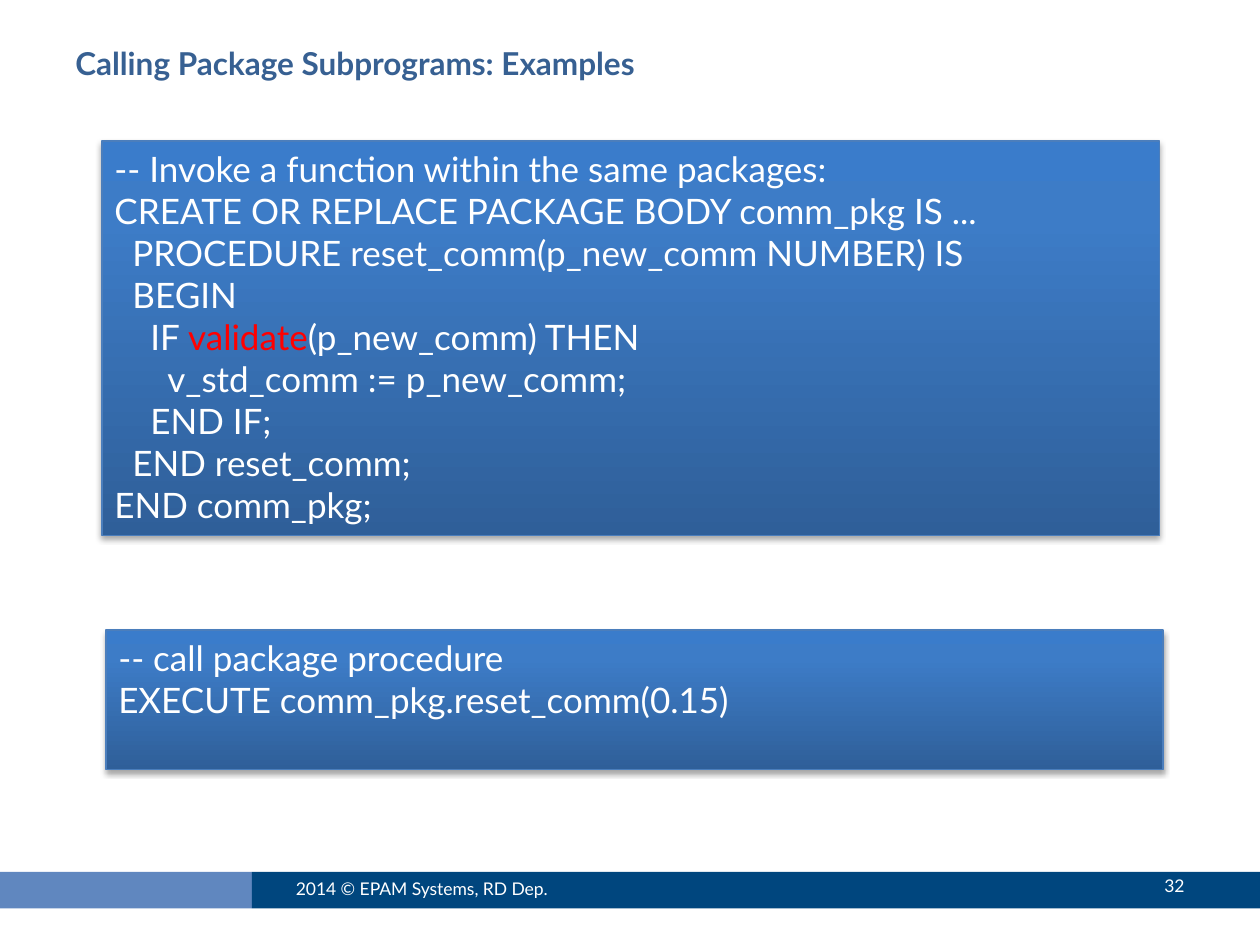
from dataclasses import dataclass

from lxml import etree
from pptx import Presentation
from pptx.dml.color import RGBColor
from pptx.enum.shapes import MSO_SHAPE
from pptx.enum.text import MSO_ANCHOR, PP_ALIGN
from pptx.oxml.ns import qn
from pptx.util import Inches, Pt

RECT = MSO_SHAPE.RECTANGLE
TOP, MIDDLE = MSO_ANCHOR.TOP, MSO_ANCHOR.MIDDLE
LEFT, RIGHT = PP_ALIGN.LEFT, PP_ALIGN.RIGHT
WIDE, HIGH = 10, 7.5


@dataclass(frozen=True)
class Theme:
    font: str = "Lato"
    title: str = "376092"
    light: str = "FFFFFF"
    mark: str = "FF0000"
    bar: str = "00467E"
    badge: str = "6087BF"
    edge: str = "4B7EBC"
    shade: str = "000000"
    blend: tuple = ((0, "2F5F99"), (80, "3D7CC7"), (100, "3A7CCB"))
    head_size: int = 18
    code_size: int = 20
    foot_size: int = 10


THEME = Theme()

BODY = """-- Invoke a function within the same packages:
CREATE OR REPLACE PACKAGE BODY comm_pkg IS ...
  PROCEDURE reset_comm(p_new_comm NUMBER) IS
  BEGIN
    IF validate(p_new_comm) THEN
      v_std_comm := p_new_comm;
    END IF;
  END reset_comm;
END comm_pkg;"""

CALL = """-- call package procedure
EXECUTE comm_pkg.reset_comm(0.15)"""


def rgb(code):
    return RGBColor.from_string(code)


def style(font, size, color, bold=False):
    font.name, font.size, font.bold = THEME.font, Pt(size), bold
    font.color.rgb = rgb(color)


def add_label(slide, box, text, size, color, bold=False, anchor=MIDDLE, align=LEFT):
    frame = slide.shapes.add_textbox(*map(Inches, box)).text_frame
    frame.word_wrap = True
    frame.vertical_anchor = anchor
    frame.text = text
    para = frame.paragraphs[0]
    para.alignment = align
    style(para.runs[0].font, size, color, bold)


def add_bar(slide, box, color):
    bar = slide.shapes.add_shape(RECT, *map(Inches, box))
    bar.shadow.inherit = False
    bar.fill.solid()
    bar.fill.fore_color.rgb = rgb(color)
    bar.line.fill.background()


def add_color(parent, color):
    return etree.SubElement(parent, qn("a:srgbClr"), val=color)


def blend(shape):
    """Fill the shape with the theme's stops, running from bottom to top."""
    shape.fill.gradient()
    shape.fill.gradient_angle = 90
    stops = shape._element.spPr.find(".//" + qn("a:gsLst"))
    for stop in list(stops):
        stops.remove(stop)
    for share, color in THEME.blend:
        add_color(etree.SubElement(stops, qn("a:gs"), pos=str(share * 1000)), color)


def drop_shadow(shape):
    shape.shadow.inherit = False
    effects = shape._element.spPr.find(qn("a:effectLst"))
    outer = etree.SubElement(
        effects, qn("a:outerShdw"), blurRad=str(Pt(3.1)), dist=str(Pt(1.8)),
        dir="5400000", rotWithShape="0")
    etree.SubElement(add_color(outer, THEME.shade), qn("a:alpha"), val="35000")


def add_code(slide, box, code, mark=None):
    """Place a code panel, with the word given as mark picked out in colour."""
    panel = slide.shapes.add_shape(RECT, *map(Inches, box))
    blend(panel)
    panel.line.color.rgb = rgb(THEME.edge)
    panel.line.width = Pt(0.75)
    drop_shadow(panel)
    frame = panel.text_frame
    frame.word_wrap = True
    frame.vertical_anchor = TOP
    frame.text = code
    for para in frame.paragraphs:
        para.alignment = LEFT
        props = para._p.get_or_add_pPr()
        props.set("marL", str(Inches(0.5)))
        props.set("indent", str(Inches(-0.5)))
        if mark and mark in para.text:
            parts = para.text.partition(mark)
            para.clear()
            for part in parts:
                para.add_run().text = part
        for run in para.runs:
            color = THEME.mark if run.text == mark else THEME.light
            style(run.font, THEME.code_size, color)


def add_footer(slide, box, note, page):
    left, top, width, height = box
    split = width / 5
    add_bar(slide, (left, top, split, height), THEME.badge)
    add_bar(slide, (left + split, top, width - split, height), THEME.bar)
    look = (THEME.foot_size, THEME.light)
    add_label(slide, (left + split + 0.25, top - 0.07, 2.67, 0.4), note, *look)
    add_label(slide, (left + width - 1.58, top - 0.09, 1.08, 0.4), page, *look,
              align=RIGHT)


def main():
    deck = Presentation()
    deck.slide_width, deck.slide_height = Inches(WIDE), Inches(HIGH)
    slide = deck.slides.add_slide(deck.slide_layouts[6])
    add_footer(slide, (0, 6.92, WIDE, 0.29), "2014 © EPAM Systems, RD Dep.", "32")
    add_label(slide, (0.5, 0.3, WIDE - 1, 0.78),
              "Calling Package Subprograms: Examples",
              THEME.head_size, THEME.title, bold=True, anchor=TOP)
    add_code(slide, (0.81, 1.12, 8.39, 3.13), BODY, "validate")
    add_code(slide, (0.84, 5, 8.39, 1.11), CALL)
    deck.save("out.pptx")


if __name__ == "__main__":
    main()
